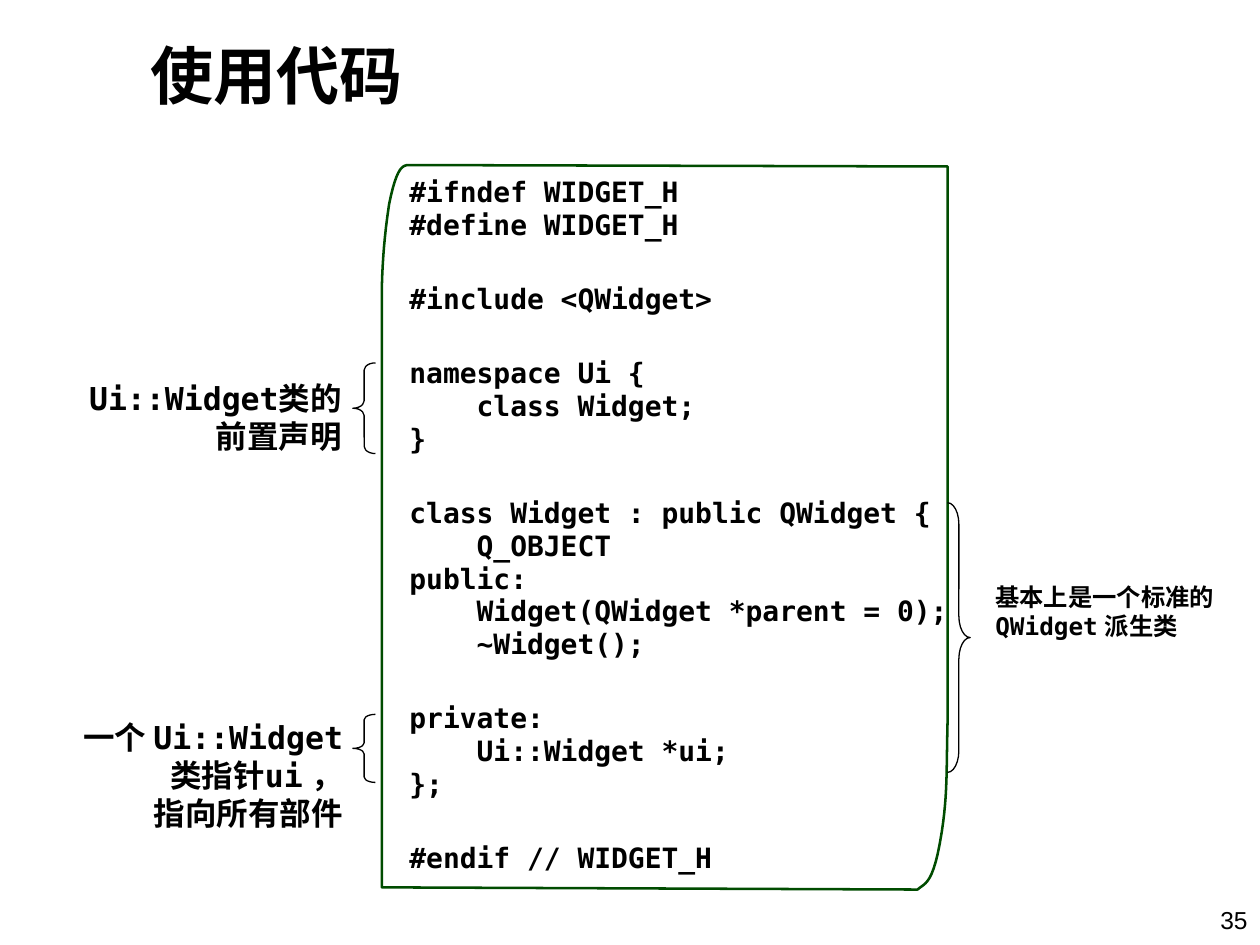
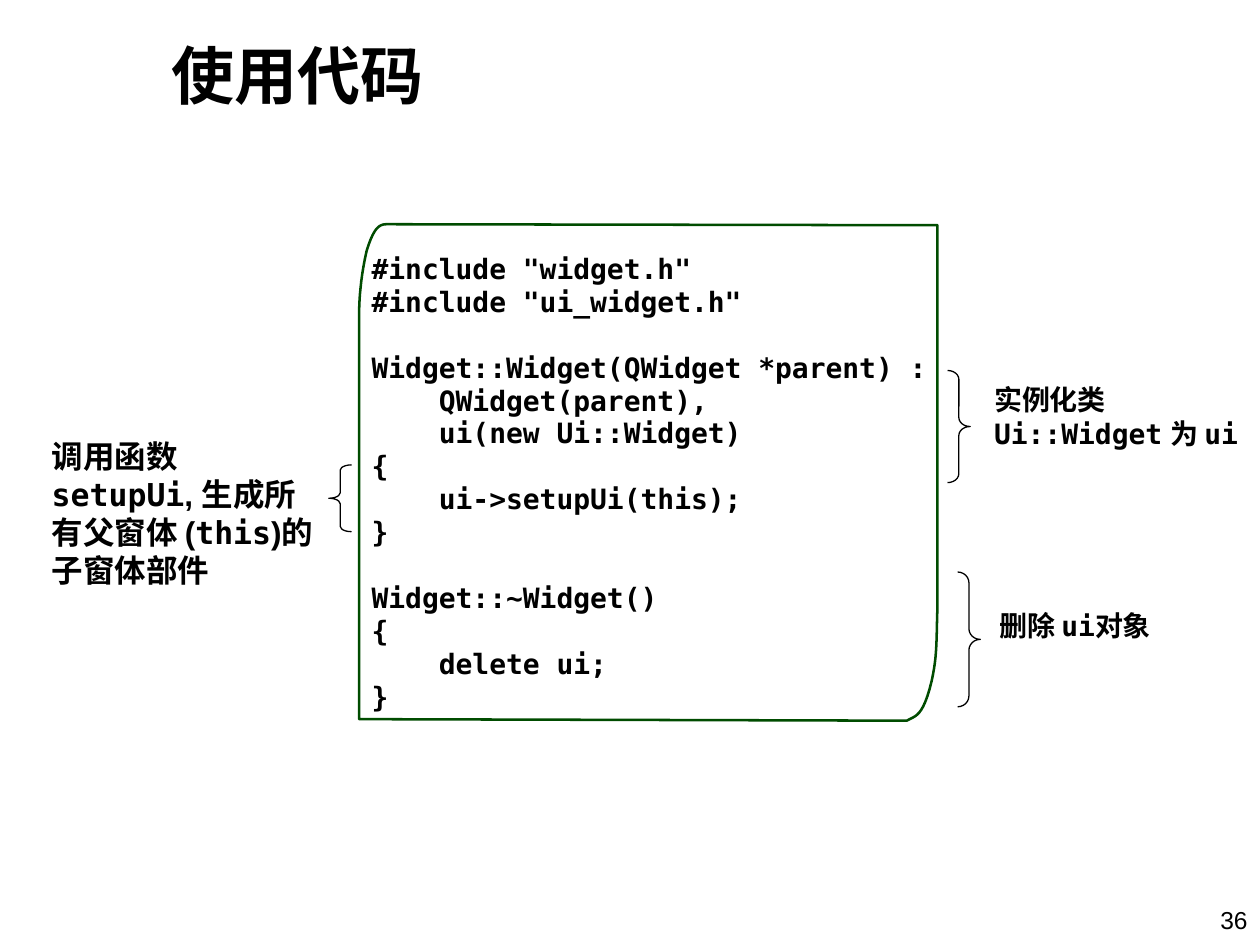
import pptx
import pptx.dml.color
import pptx.enum.shapes
import pptx.enum.text
import pptx.util

COLS, ROWS = 100, 75
INK, GREEN = "000000", "004C00"
SANS, MONO = "Arial", "DejaVu Sans Mono"
ALIGN = pptx.enum.text.PP_ALIGN
BRACES = {
    "left": pptx.enum.shapes.MSO_SHAPE.LEFT_BRACE,
    "right": pptx.enum.shapes.MSO_SHAPE.RIGHT_BRACE,
}
BRACE_CURL = 0.08

FRAME_START = (5, 0)
FRAME_SEGMENTS = [
    [(100, 0.2)],
    [(100, 77)],
    [(99.8, 83.7), (100, 86.8), (99, 92)],
    [(97.5, 99.3), (96.2, 99), (94.7, 100)],
    [(0, 99.7)],
    [(0, 18.8)],
    [(0, 17.2), (0, 12), (1.3, 5.4)],
    [(2.7, 0), (3.8, 0), (5, 0)],
]

HEADER_CODE = """#ifndef WIDGET_H
#define WIDGET_H

#include <QWidget>

namespace Ui {
    class Widget;
}

class Widget : public QWidget {
    Q_OBJECT
public:
    Widget(QWidget *parent = 0);
    ~Widget();

private:
    Ui::Widget *ui;
};

#endif // WIDGET_H"""

SOURCE_CODE = """#include "widget.h"
#include "ui_widget.h"

Widget::Widget(QWidget *parent) :
    QWidget(parent),
    ui(new Ui::Widget)
{
    ui->setupUi(this);
}

Widget::~Widget()
{
    delete ui;
}"""


def color(value):
    """Turn a hex string into a colour."""
    return pptx.dml.color.RGBColor.from_string(value)


def to_emu(prs, box):
    """Convert a box in grid cells to slide lengths."""
    cell_w, cell_h = prs.slide_width / COLS, prs.slide_height / ROWS
    left, top, width, height = box
    return [round(v) for v in (left * cell_w, top * cell_h, width * cell_w, height * cell_h)]


def inside(box, part):
    """Move a part so that it is measured from the corner of a box."""
    return (box[0] + part[0], box[1] + part[1], part[2], part[3])


def outline(sp, line_color, width):
    """Give a shape a plain line, no fill and no shadow."""
    sp.shadow.inherit = False
    sp.fill.background()
    sp.line.color.rgb = color(line_color)
    sp.line.width = pptx.util.Pt(width)


def add_text_frame(prs, slide, box, margins):
    """Add an empty text box and return its text frame."""
    tf = slide.shapes.add_textbox(*to_emu(prs, box)).text_frame
    tf.word_wrap = True
    tf.margin_left, tf.margin_top, tf.margin_right, tf.margin_bottom = map(pptx.util.Inches, margins)
    return tf


def write_lines(tf, lines, size, bold=True, align=ALIGN.LEFT):
    """Write paragraphs whose backquoted parts use the code font."""
    for i, line in enumerate(lines):
        p = tf.paragraphs[0] if i == 0 else tf.add_paragraph()
        p.alignment = align
        p.font.size, p.font.bold = pptx.util.Pt(size), bold
        p.font.color.rgb = color(INK)
        for j, text in enumerate(line.split("`")):
            if text:
                r = p.add_run()
                r.text = text
                r.font.name = MONO if j % 2 else SANS


def add_title(prs, slide, left):
    """Place the slide title."""
    tf = add_text_frame(prs, slide, (left, -0.3, 65, 12.5), (0.1, 0.04, 0.1, 0.05))
    tf.vertical_anchor = pptx.enum.text.MSO_ANCHOR.MIDDLE
    write_lines(tf, ["使用代码"], 36)


def add_page_number(prs, slide, number):
    """Place the page number in the bottom right corner."""
    tf = add_text_frame(prs, slide, (83.9, 71.3, 16.1, 3.7), (0.1, 0.05, 0.1, 0.05))
    write_lines(tf, [str(number)], 14, bold=False, align=ALIGN.RIGHT)


def bezier(start, c1, c2, end, steps=12):
    """List the points of a cubic curve after its start."""
    points = []
    for k in range(1, steps + 1):
        t = k / steps
        weights = ((1 - t) ** 3, 3 * t * (1 - t) ** 2, 3 * t * t * (1 - t), t ** 3)
        points.append(tuple(sum(w * q[axis] for w, q in zip(weights, (start, c1, c2, end)))
                            for axis in (0, 1)))
    return points


def add_code_frame(prs, slide, box):
    """Draw the green sheet outline, given in percent, that fills a box."""
    points = [FRAME_START]
    for segment in FRAME_SEGMENTS:
        points += bezier(points[-1], *segment) if len(segment) == 3 else segment
    left, top, width, height = to_emu(prs, box)
    scaled = [(round(left + x * width / 100), round(top + y * height / 100)) for x, y in points]
    builder = slide.shapes.build_freeform(*scaled[0], scale=1.0)
    builder.add_line_segments(scaled[1:], close=True)
    outline(builder.convert_to_shape(), GREEN, 1.45)


def add_code_panel(prs, slide, box, text_part, code, gap):
    """Place a code listing, with gaps between its blocks, inside its frame."""
    tf = add_text_frame(prs, slide, inside(box, text_part), (0.09, 0.05, 0, 0.04))
    blocks = [block.split("\n") for block in code.split("\n\n")]
    write_lines(tf, [f"`{line}`" for block in blocks for line in block], 16)
    for p in tf.paragraphs:
        p.line_spacing = 0.98
    first = 0
    for block in blocks[:-1]:
        first += len(block)
        tf.paragraphs[first].space_before = pptx.util.Pt(gap)
    add_code_frame(prs, slide, box)


def add_note(prs, slide, side, box, label_part, lines, size, align=ALIGN.LEFT):
    """Draw a brace in a box and its label relative to that box."""
    sp = slide.shapes.add_shape(BRACES[side], *to_emu(prs, box))
    sp.adjustments[0] = BRACE_CURL * box[3] / box[2]
    outline(sp, INK, 0.75)
    right_margin = 0.1 if side == "left" else 0
    tf = add_text_frame(prs, slide, inside(box, label_part), (0.09, 0.06, right_margin, 0.04))
    write_lines(tf, lines, size, align=align)


def build_header_slide(prs, slide):
    """Build the slide that explains the header file."""
    add_title(prs, slide, 11)
    add_code_panel(prs, slide, (30.3, 13.1, 44.9, 57.5), (1.3, 0.4, 46, 57), HEADER_CODE, 23.5)
    add_note(prs, slide, "left", (28, 28.8, 1.8, 7.2), (-24.4, 0.7, 24.5, 6),
             ["`Ui::Widget`类的", "前置声明"], 18, align=ALIGN.RIGHT)
    add_note(prs, slide, "left", (28, 56.7, 1.8, 5.4), (-24, -0.3, 24.2, 9.5),
             ["一个 `Ui::Widget`", "类指针`ui` ，", "指向所有部件"], 18, align=ALIGN.RIGHT)
    add_note(prs, slide, "right", (75.2, 39.9, 1.8, 21.4), (2.9, 5.7, 19.6, 8.5),
             ["基本上是一个标准的 `QWidget` 派生类"], 13.9)


def build_source_slide(prs, slide):
    """Build the slide that explains the source file."""
    add_title(prs, slide, 12.6)
    add_code_panel(prs, slide, (28.5, 17.8, 45.9, 39.4), (0.1, 1.8, 47, 37.5), SOURCE_CODE, 18.8)
    add_note(prs, slide, "left", (26.1, 36.9, 1.8, 5.3), (-22.9, -2.8, 23.2, 13.6),
             ["调用函数 `setupUi`, 生成所有父窗体 (`this`)的子窗体部件"], 18)
    add_note(prs, slide, "right", (75.2, 29.4, 1.8, 8.9), (2.8, 0.4, 22, 8.5),
             ["实例化类", "`Ui::Widget` 为 `ui`"], 16)
    add_note(prs, slide, "right", (76, 45.4, 1.8, 10.7), (2.4, 2.3, 16, 7.8),
             ["删除 `ui`对象"], 16)


def main():
    """Build and save the presentation."""
    prs = pptx.Presentation()
    prs.slide_width, prs.slide_height = pptx.util.Inches(10), pptx.util.Inches(7.5)
    for number, build in enumerate((build_header_slide, build_source_slide), start=35):
        slide = prs.slides.add_slide(prs.slide_layouts[6])
        build(prs, slide)
        add_page_number(prs, slide, number)
    prs.save("out.pptx")


if __name__ == "__main__":
    main()
